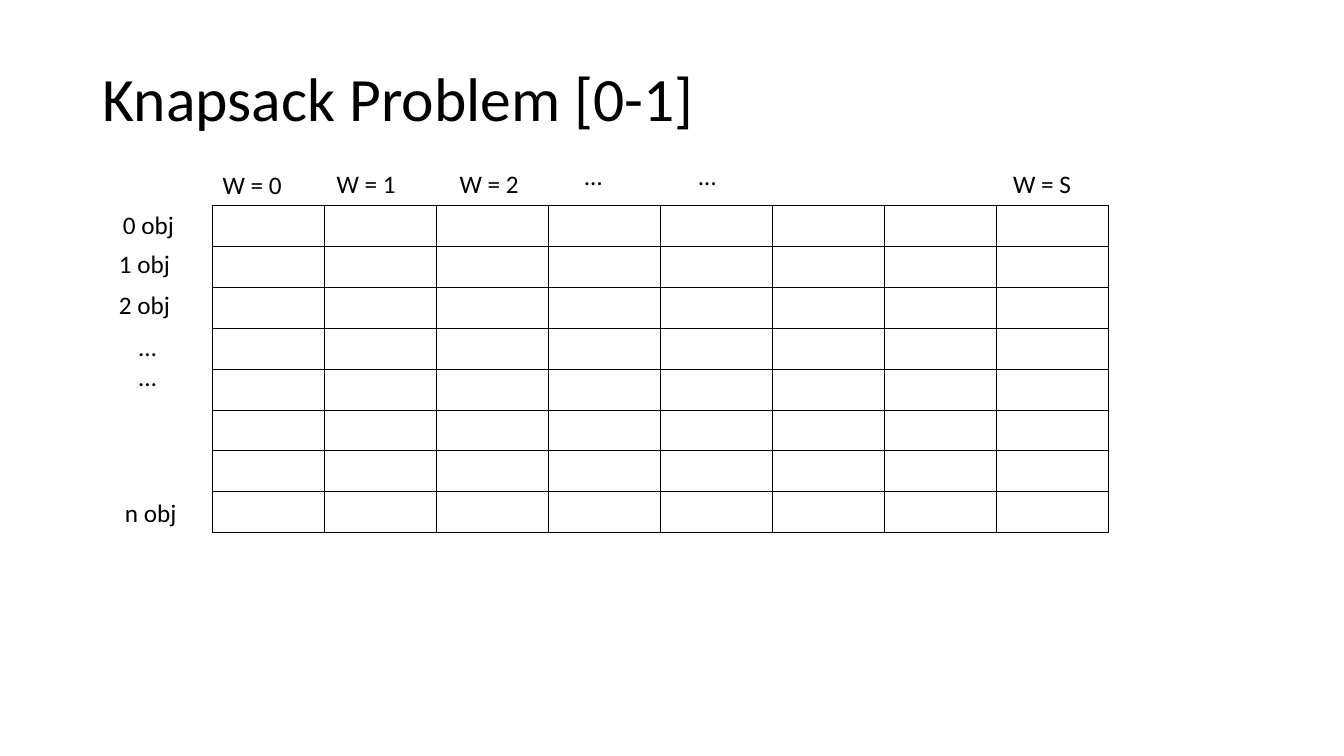
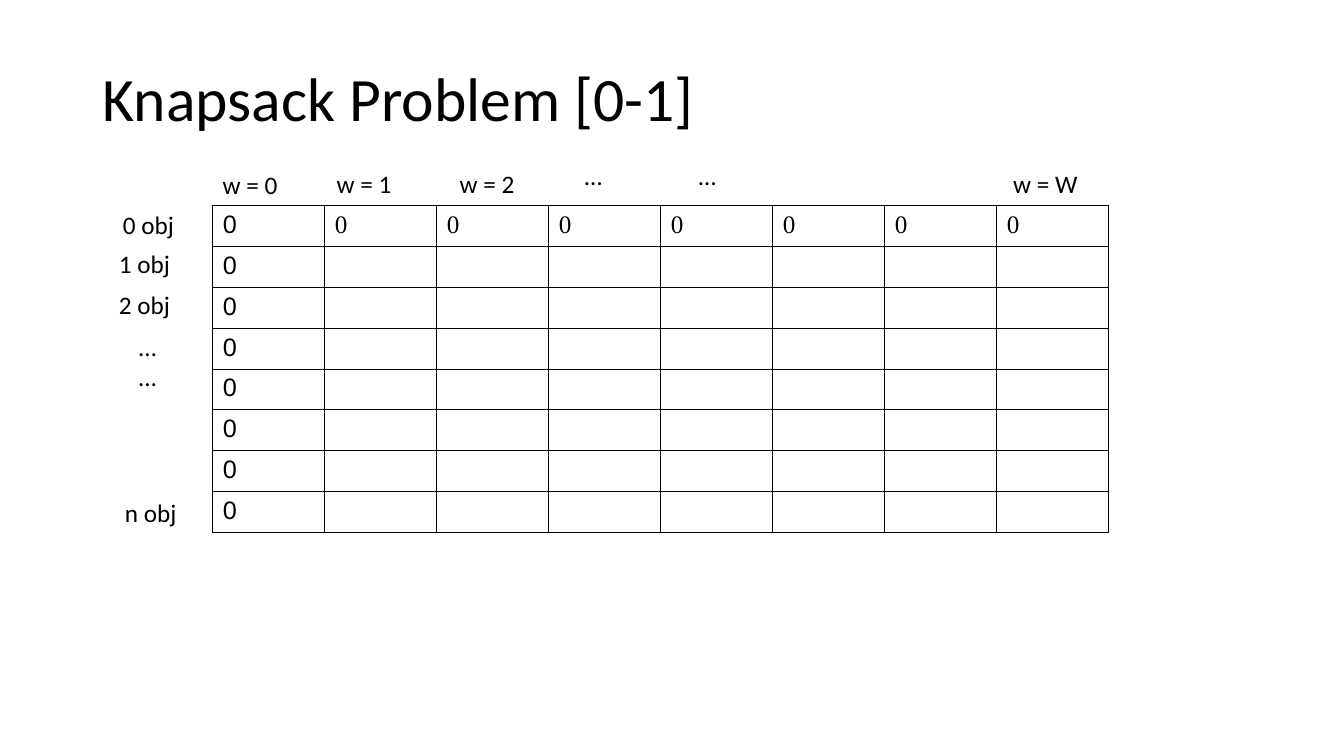
"""Build two slides that show the 0-1 knapsack table, empty and initialised."""
from lxml import etree
from pptx import Presentation
from pptx import util as u
from pptx.dml.color import RGBColor
from pptx.enum import text
from pptx.oxml.ns import qn

COLORS = {"ink": "000000"}
BODY_FONT = "Calibri"
BODY_SIZE = 18
TITLE = "Knapsack Problem [0-1]"
TITLE_BOX = (0.92, 0.28, 11.5, 1.45)
GRID = 8
TABLE_BOX = (2.11, 2.04, 8.89, 3.24)
LABEL_HEIGHT = 0.4
HEADING_WIDTH, ROW_LABEL_WIDTH = 1.12, 0.92

HEADING_SPOTS = [(2.11, 1.63), (3.24, 1.62), (4.46, 1.62),
                 (5.7, 1.54), (6.83, 1.54), (9.95, 1.62)]
ROW_LABELS = [
    (["0 obj"], 1.12, 2.03),
    (["1 obj"], 1.08, 2.41),
    (["2 obj"], 1.08, 2.82),
    (["…", "…"], 1.28, 3.24),
    (["n obj"], 1.14, 4.88),
]
FIRST_ROW = {(0, column): "Times New Roman" for column in range(1, GRID)}
FIRST_COLUMN = {(row, 0): "Arial" for row in range(GRID)}
SLIDES = [
    {"headings": ["W = 0", "W = 1", "W = 2", "…", "…", "W = S"], "zeros": {}},
    {"headings": ["w = 0", "w = 1", "w = 2", "…", "…", "w = W"],
     "zeros": {**FIRST_ROW, **FIRST_COLUMN}},
]


def inches(box):
    return [u.Inches(length) for length in box]


def add_run(paragraph, words, size=BODY_SIZE, font=BODY_FONT):
    run = paragraph.add_run()
    run.text = words
    run.font.size = u.Pt(size)
    run.font.name = font
    run.font.color.rgb = RGBColor.from_string(COLORS["ink"])


def set_title(slide):
    title = slide.shapes.title
    title.left, title.top, title.width, title.height = inches(TITLE_BOX)
    frame = title.text_frame
    frame.auto_size = text.MSO_AUTO_SIZE.NONE
    frame.vertical_anchor = text.MSO_ANCHOR.MIDDLE
    paragraph = frame.paragraphs[0]
    paragraph.alignment = text.PP_ALIGN.LEFT
    paragraph.line_spacing = 0.9
    add_run(paragraph, TITLE, 44)


def add_label(slide, lines, left, top, width):
    box = (left, top, width, LABEL_HEIGHT * len(lines))
    frame = slide.shapes.add_textbox(*inches(box)).text_frame
    frame.word_wrap = True
    for index, line in enumerate(lines):
        paragraph = frame.add_paragraph() if index else frame.paragraphs[0]
        add_run(paragraph, line)


def outline_cell(cell):
    cell.fill.background()
    properties = cell._tc.get_or_add_tcPr()
    for index, side in enumerate(("lnL", "lnR", "lnT", "lnB")):
        line = etree.Element(qn(f"a:{side}"), w=str(u.Pt(0.75)))
        fill = etree.SubElement(line, qn("a:solidFill"))
        etree.SubElement(fill, qn("a:srgbClr"), val=COLORS["ink"])
        properties.insert(index, line)


def add_grid(slide, zeros):
    table = slide.shapes.add_table(GRID, GRID, *inches(TABLE_BOX)).table
    table.first_row = table.horz_banding = False
    for column in table.columns:
        column.width = u.Inches(TABLE_BOX[2] / GRID)
    for row in table.rows:
        row.height = u.Inches(TABLE_BOX[3] / GRID)
    for cell in table.iter_cells():
        outline_cell(cell)
    for (row, column), font in zeros.items():
        paragraph = table.cell(row, column).text_frame.paragraphs[0]
        add_run(paragraph, "0", font=font)


def main():
    presentation = Presentation()
    presentation.slide_width, presentation.slide_height = inches((13.33, 7.5))
    title_only = presentation.slide_layouts[5]
    for content in SLIDES:
        slide = presentation.slides.add_slide(title_only)
        set_title(slide)
        add_grid(slide, content["zeros"])
        for heading, (left, top) in zip(content["headings"], HEADING_SPOTS):
            add_label(slide, [heading], left, top, HEADING_WIDTH)
        for lines, left, top in ROW_LABELS:
            add_label(slide, lines, left, top, ROW_LABEL_WIDTH)
    presentation.save("out.pptx")


if __name__ == "__main__":
    main()
